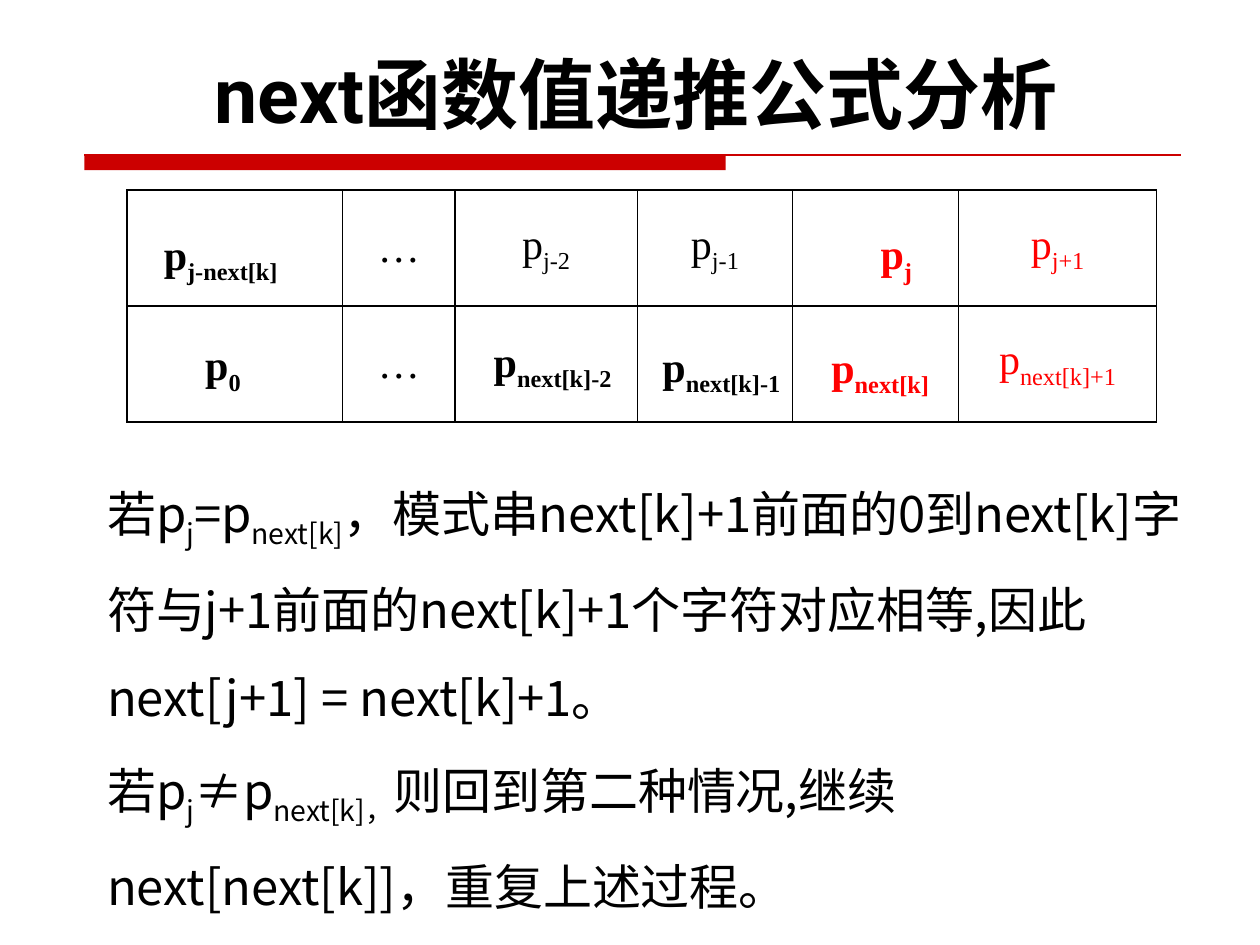
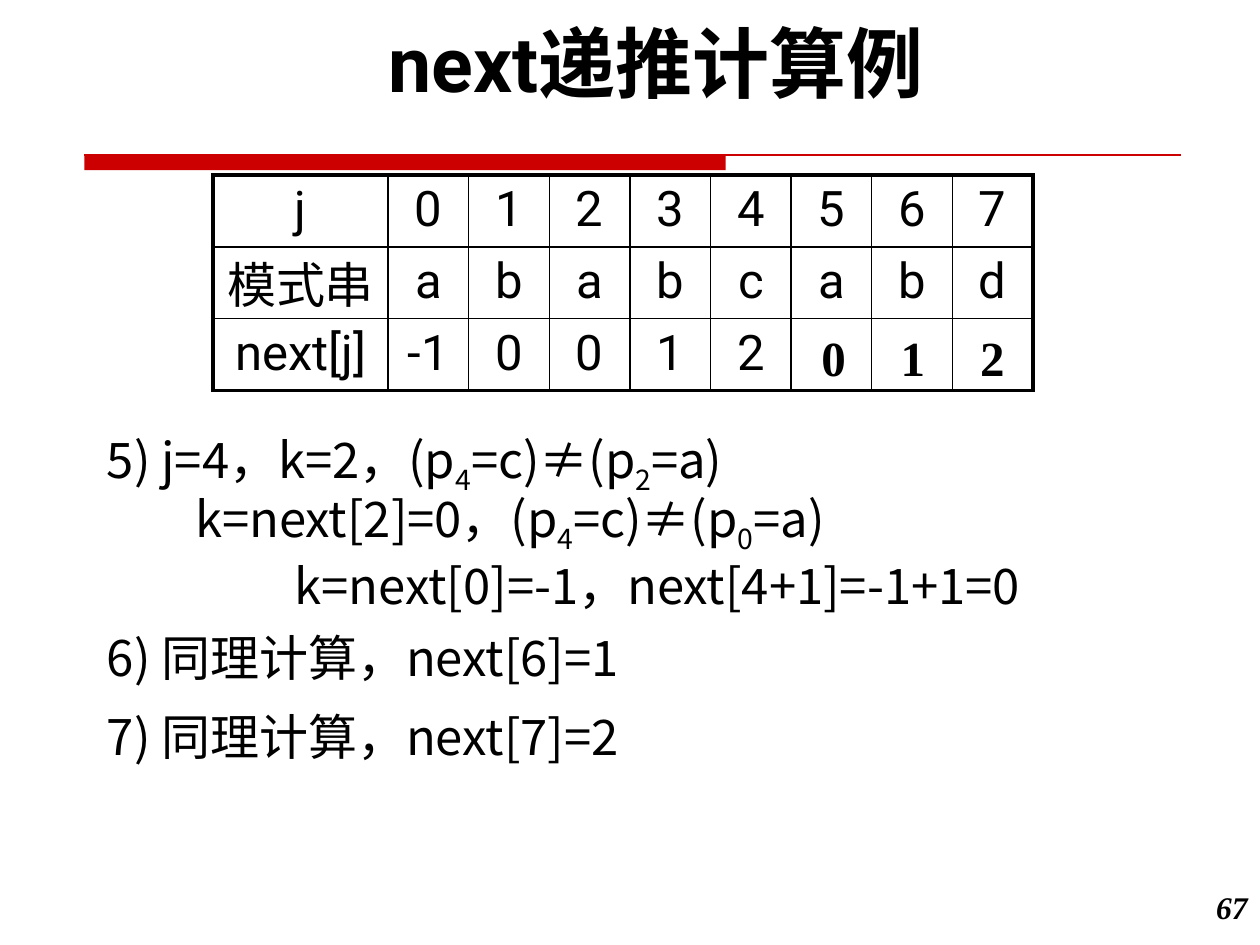
from lxml import etree
from pptx import Presentation
from pptx.dml.color import RGBColor
from pptx.enum.shapes import MSO_CONNECTOR, MSO_SHAPE
from pptx.enum.text import MSO_ANCHOR, MSO_AUTO_SIZE, PP_ALIGN
from pptx.oxml.ns import qn
from pptx.util import Emu, Pt

PX = 9144  # 100 px to the inch
LEFT, CENTER, RIGHT = PP_ALIGN.LEFT, PP_ALIGN.CENTER, PP_ALIGN.RIGHT
TOP, MIDDLE, BOTTOM = MSO_ANCHOR.TOP, MSO_ANCHOR.MIDDLE, MSO_ANCHOR.BOTTOM
RECTANGLE, STRAIGHT = MSO_SHAPE.RECTANGLE, MSO_CONNECTOR.STRAIGHT
NO_AUTOFIT = MSO_AUTO_SIZE.NONE

BLACK, WHITE, RED, BAND_RED = "000000", "FFFFFF", "FF0000", "CC0000"
SANS, SERIF, CHINESE = "Roboto", "Times New Roman", "Noto Sans CJK SC"
TITLE_ONLY, TITLE_AND_BODY = 5, 1


def px(length):
    return Emu(length * PX)


def color(hex_code):
    return RGBColor.from_string(hex_code)


def place(shape, left, top, width, height):
    shape.left, shape.top = px(left), px(top)
    shape.width, shape.height = px(width), px(height)


def write(paragraph, text, size, font_name, ink=BLACK, bold=False, italic=False,
          align=LEFT, indent=0):
    """Fill a paragraph; parts between ~ marks become subscripts."""
    for index, part in enumerate(text.split("~")):
        if part:
            run = paragraph.add_run()
            run.text = part
            if index % 2:
                run.font._element.set("baseline", "-25000")
    properties = paragraph._p.get_or_add_pPr()
    properties.set("marL", str(px(indent)))
    properties.set("indent", "0")
    etree.SubElement(properties, qn("a:buNone"))
    paragraph.alignment = align
    paragraph.space_before = Pt(0)
    font = paragraph.font
    font.size, font.bold, font.italic = Pt(size), bold, italic
    font.color.rgb = color(ink)
    font.name = font_name
    etree.SubElement(font._element, qn("a:ea"), typeface=CHINESE)


def add_text(slide, box, lines, size, font_name, **style):
    """Add a text box; each line is a text and its left indent."""
    frame = slide.shapes.add_textbox(*map(px, box)).text_frame
    frame.word_wrap = True
    for index, (text, indent) in enumerate(lines):
        paragraph = frame.add_paragraph() if index else frame.paragraphs[0]
        write(paragraph, text, size, font_name, indent=indent, **style)


def add_rectangle(slide, box, fill):
    rectangle = slide.shapes.add_shape(RECTANGLE, *map(px, box))
    rectangle.shadow.inherit = False
    rectangle.fill.solid()
    rectangle.fill.fore_color.rgb = color(fill)
    rectangle.line.fill.background()
    return rectangle


def add_white_label(slide, box, text, inset_x, inset_y):
    frame = add_rectangle(slide, box, WHITE).text_frame
    frame.word_wrap, frame.vertical_anchor = True, TOP
    frame.margin_left = frame.margin_right = px(inset_x)
    frame.margin_top = frame.margin_bottom = px(inset_y)
    write(frame.paragraphs[0], text, 24, SERIF, bold=True)


def add_slide(presentation, layout, title, title_box, anchor, line_spacing):
    """Add a slide with its title and the red band under it."""
    slide = presentation.slides.add_slide(presentation.slide_layouts[layout])
    place(slide.shapes.title, *title_box)
    frame = slide.shapes.title.text_frame
    frame.auto_size, frame.vertical_anchor = NO_AUTOFIT, anchor
    write(frame.paragraphs[0], title, 44, SANS, bold=True, align=CENTER)
    frame.paragraphs[0].line_spacing = line_spacing

    add_rectangle(slide, (67, 123, 509, 12), BAND_RED)
    rule = slide.shapes.add_connector(STRAIGHT, px(67), px(123), px(937), px(123))
    rule.line.color.rgb = color(BAND_RED)
    rule.line.width = Pt(0.75)
    etree.SubElement(rule._element.spPr, qn("a:effectLst"))
    return slide


def fill_body(slide, box, texts):
    body = slide.placeholders[1]
    place(body, *box)
    frame = body.text_frame
    frame.auto_size, frame.vertical_anchor = NO_AUTOFIT, TOP
    for index, text in enumerate(texts):
        paragraph = frame.add_paragraph() if index else frame.paragraphs[0]
        write(paragraph, text, 28, CHINESE)
        paragraph.line_spacing = 1.5


def set_borders(cell, widths):
    """Draw black borders; widths are points for left, right, top, bottom."""
    properties = cell._tc.get_or_add_tcPr()
    for side, width in zip("LRTB", widths):
        line = etree.SubElement(properties, qn(f"a:ln{side}"), w=str(Pt(width)))
        fill = etree.SubElement(line, qn("a:solidFill"))
        etree.SubElement(fill, qn("a:srgbClr"), val=BLACK)


def add_grid(slide, left, top, column_widths, row_height, rows, size, font_name,
             outer=1.0, inner=1.0, anchor=TOP, background=None, red_columns=()):
    columns, count = len(column_widths), len(rows)
    frame = slide.shapes.add_table(count, columns, px(left), px(top),
                                   px(sum(column_widths)), px(row_height * count))
    table = frame.table
    table.first_row = table.horz_banding = False
    for column, width in zip(table.columns, column_widths):
        column.width = px(width)
    for row_index, texts in enumerate(rows):
        table.rows[row_index].height = px(row_height)
        for column_index, text in enumerate(texts):
            cell = table.cell(row_index, column_index)
            edges = (column_index == 0, column_index == columns - 1,
                     row_index == 0, row_index == count - 1)
            set_borders(cell, [outer if edge else inner for edge in edges])
            if background:
                cell.fill.solid()
                cell.fill.fore_color.rgb = color(background)
            else:
                cell.fill.background()
            cell.vertical_anchor = anchor
            ink = RED if column_index in red_columns else BLACK
            write(cell.text_frame.paragraphs[0], text, size, font_name, ink,
                  align=CENTER)
    return table


def add_formula_slide(presentation):
    slide = add_slide(presentation, TITLE_AND_BODY, "next函数值递推公式分析",
                      (51, 21, 908, 86), TOP, 1.15)
    rows = [["", "…", "p~j-2~", "p~j-1~", "", "p~j+1~"],
            ["", "…", "", "", "", "p~next[k]+1~"]]
    add_grid(slide, 101, 151, [171, 89, 145, 123, 132, 157], 92, rows, 24, SERIF,
             anchor=MIDDLE, background=WHITE, red_columns=(4, 5))
    add_white_label(slide, (130, 181, 118, 40), "p~j-next[k]~", 0, 0)
    add_white_label(slide, (153, 264, 71, 50), "p~0~", 10, 5)
    bold_labels = [
        ("p~j~", (689, 176, 63, 50), RED),
        ("p~next[k]-2~", (382, 261, 134, 50), BLACK),
        ("p~next[k]-1~", (516, 265, 134, 50), BLACK),
        ("p~next[k]~", (650, 266, 110, 50), RED),
    ]
    for text, box, ink in bold_labels:
        add_text(slide, box, [(text, 0)], 24, SERIF, ink=ink, bold=True)
    fill_body(slide, (75, 352, 882, 394), [
        "若p~j~=p~next[k]~，模式串next[k]+1前面的0到next[k]字符与j+1前面的"
        "next[k]+1个字符对应相等,因此next[j+1] = next[k]+1。",
        "若p~j~≠p~next[k]，~则回到第二种情况,继续next[next[k]]，重复上述过程。",
    ])


def add_example_slide(presentation):
    slide = add_slide(presentation, TITLE_ONLY, "next递推计算例",
                      (67, 17, 908, 83), BOTTOM, 0.9)
    slide.shapes.title.text_frame.margin_bottom = px(13)
    rows = [["j", *"01234567"],
            ["模式串", *"ababcabd"],
            ["next[j]", "-1", *"0012", "", "", ""]]
    table = add_grid(slide, 169, 139, [139] + [64] * 8, 57, rows, 28, SANS,
                     outer=2.25)
    pattern_label = table.cell(1, 0)
    pattern_label.margin_top = pattern_label.margin_bottom = 0
    for index, value in enumerate("012"):
        add_text(slide, (642 + 63 * index, 255, 63, 57), [(value, 0)], 28, SERIF,
                 bold=True)

    steps = [
        (336, 57, [("5) j=4，k=2，(p~4~=c)≠(p~2~=a)", 0)]),
        (383, 104, [("k=next[2]=0，(p~4~=c)≠(p~0~=a)", 70),
                    ("k=next[0]=-1，next[4+1]=-1+1=0", 149)]),
        (493, 57, [("6) 同理计算，next[6]=1", 0)]),
        (556, 57, [("7) 同理计算，next[7]=2", 0)]),
    ]
    for top, height, lines in steps:
        add_text(slide, (75, top, 803, height), lines, 28, CHINESE)
    add_text(slide, (933, 700, 67, 50), [("67", 0)], 18, SERIF, bold=True,
             italic=True, align=RIGHT)


def main():
    presentation = Presentation()
    presentation.slide_width, presentation.slide_height = px(1000), px(750)
    add_formula_slide(presentation)
    add_example_slide(presentation)
    presentation.save("out.pptx")


if __name__ == "__main__":
    main()
